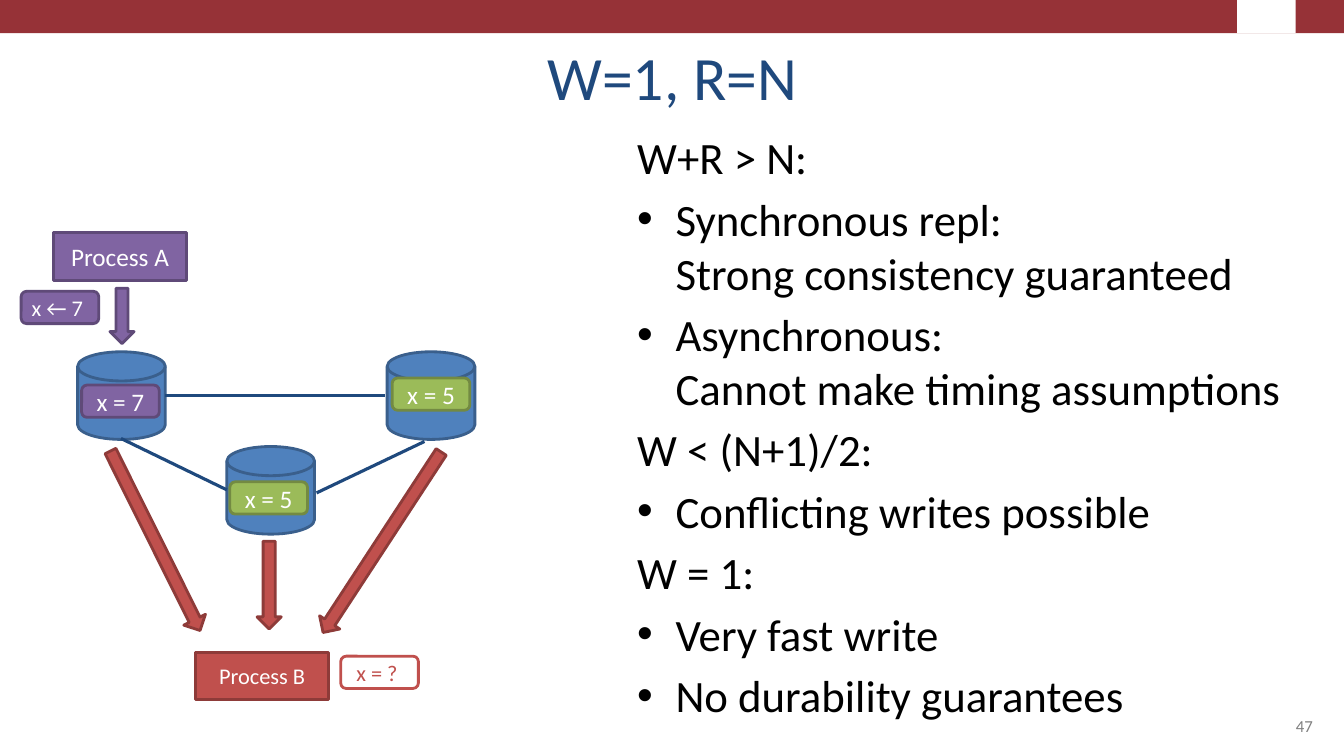
from pptx import Presentation
from pptx.dml.color import RGBColor
from pptx.enum.shapes import MSO_CONNECTOR, MSO_SHAPE as SHAPE
from pptx.enum.text import MSO_ANCHOR as ANCHOR, MSO_AUTO_SIZE as AUTO_SIZE, PP_ALIGN as ALIGN
from pptx.oxml.xmlchemy import OxmlElement
from pptx.util import Inches, Pt

FONT = "Calibri"
WHITE = RGBColor(0xFF, 0xFF, 0xFF)
BLACK = RGBColor(0x00, 0x00, 0x00)
GRAY = RGBColor(0x80, 0x80, 0x80)
BAND_RED = RGBColor(0x96, 0x32, 0x37)
NAVY = RGBColor(0x1F, 0x49, 0x7D)
BLUE = RGBColor(0x4F, 0x81, 0xBD)
BLUE_EDGE = RGBColor(0x3A, 0x5F, 0x8C)
PURPLE = RGBColor(0x80, 0x64, 0xA2)
PURPLE_EDGE = RGBColor(0x5F, 0x4A, 0x78)
RED = RGBColor(0xC0, 0x50, 0x4D)
RED_EDGE = RGBColor(0x8E, 0x3B, 0x39)
GREEN = RGBColor(0x9B, 0xBB, 0x59)
GREEN_EDGE = RGBColor(0x73, 0x8A, 0x42)

# Grid of square cells covering the slide
COLUMNS, ROWS = 1333, 750
CELL = Inches(0.01)

deck = Presentation()
deck.slide_width, deck.slide_height = COLUMNS * CELL, ROWS * CELL
page = deck.slides.add_slide(deck.slide_layouts[1])


def write(box, text, size, color, align, anchor):
    frame = box.text_frame
    frame.text = text
    frame.auto_size = AUTO_SIZE.NONE
    frame.vertical_anchor = anchor
    for para in frame.paragraphs:
        para.alignment = align
        for span in para.runs:
            span.font.name, span.font.size = FONT, Pt(size)
            span.font.color.rgb = color


def draw(kind, left, top, width, height, fill, edge=None, text="", size=18, color=WHITE):
    shape = page.shapes.add_shape(kind, left * CELL, top * CELL, width * CELL, height * CELL)
    shape.shadow.inherit = False
    shape.fill.solid()
    shape.fill.fore_color.rgb = fill
    if edge is None:
        shape.line.fill.background()
    else:
        shape.line.color.rgb, shape.line.width = edge, Pt(2)
    if text:
        write(shape, text, size, color, ALIGN.CENTER, ANCHOR.MIDDLE)
        shape.text_frame.word_wrap = False
    return shape


# Top band with a plain gap near its right end
draw(SHAPE.RECTANGLE, 0, 0, COLUMNS, 33, BAND_RED)
draw(SHAPE.RECTANGLE, 1227, 0, 58, 33, WHITE)

# Title
title = page.shapes.title
title.left, title.top, title.width, title.height = [n * CELL for n in (67, 30, 1200, 87)]
write(title, "W=1, R=N", 44, NAVY, ALIGN.CENTER, ANCHOR.BOTTOM)

# Conditions and their consequences
conditions = [
    ("W+R > N:", False),
    ("Synchronous repl: \vStrong consistency guaranteed", True),
    ("Asynchronous:\vCannot make timing assumptions", True),
    ("W < (N+1)/2:", False),
    ("Conflicting writes possible", True),
    ("W = 1:", False),
    ("Very fast write", True),
    ("No durability guarantees", True),
]
body = page.placeholders[1]
body.left, body.top, body.width, body.height = [n * CELL for n in (622, 124, 682, 537)]
write(body, "\n".join(text for text, _ in conditions), 32, BLACK, ALIGN.LEFT, ANCHOR.TOP)
for number, (para, (_, bulleted)) in enumerate(zip(body.text_frame.paragraphs, conditions)):
    properties = para._p.get_or_add_pPr()
    indent = 38 * CELL if bulleted else 0
    properties.set("marL", str(indent))
    properties.set("indent", str(-indent))
    bullet = OxmlElement("a:buChar" if bulleted else "a:buNone")
    if bulleted:
        bullet.set("char", "•")
    properties.append(bullet)
    para.space_before = Pt(5.5 if number else 0)

# Slide number
number_box = page.shapes.add_textbox(956 * CELL, 683 * CELL, 356 * CELL, 52 * CELL)
number_box.text_frame.word_wrap = True
write(number_box, "47", 12, GRAY, ALIGN.RIGHT, ANCHOR.BOTTOM)

# Replicas
for left, top in [(77, 349), (225, 443), (384, 349)]:
    draw(SHAPE.FLOWCHART_MAGNETIC_DISK, left, top, 87, 87, BLUE, BLUE_EDGE)

# Links between replicas
for x1, y1, x2, y2 in [(120, 435, 225, 486), (314, 489, 421, 438), (164, 392, 382, 392)]:
    link = page.shapes.add_connector(
        MSO_CONNECTOR.STRAIGHT, x1 * CELL, y1 * CELL, x2 * CELL, y2 * CELL)
    link.line.color.rgb, link.line.width = NAVY, Pt(2.25)
    link._element.spPr.append(OxmlElement("a:effectLst"))

# Processes
for name, left, top, fill, edge, size in [
    ("Process A", 53, 231, PURPLE, PURPLE_EDGE, 18),
    ("Process B", 194, 647, RED, RED_EDGE, 16),
]:
    draw(SHAPE.RECTANGLE, left, top, 132, 47, fill, edge, name, size)

# Write arrow, then read arrows
for left, top, height, turn, fill, edge in [
    (109, 286, 55, 0, PURPLE, PURPLE_EDGE),
    (367, 431, 214, 33.2, RED, RED_EDGE),
    (255, 537, 87, 0, RED, RED_EDGE),
    (142, 437, 199, 333.5, RED, RED_EDGE),
]:
    draw(SHAPE.DOWN_ARROW, left, top, 24, height, fill, edge).rotation = turn

# Values of x
for text, left, top, fill, edge, size, color in [
    ("x ← 7 ", 21, 289, PURPLE, PURPLE_EDGE, 16, WHITE),
    ("x = ? ", 338, 651, WHITE, RED, 16, RED),
    ("x = 5", 389, 375, GREEN, GREEN_EDGE, 18, WHITE),
    ("x = 5", 228, 478, GREEN, GREEN_EDGE, 18, WHITE),
    ("x = 7", 81, 382, PURPLE, PURPLE_EDGE, 18, WHITE),
]:
    draw(SHAPE.ROUNDED_RECTANGLE, left, top, 77, 32, fill, edge, text, size, color)

deck.save("out.pptx")
